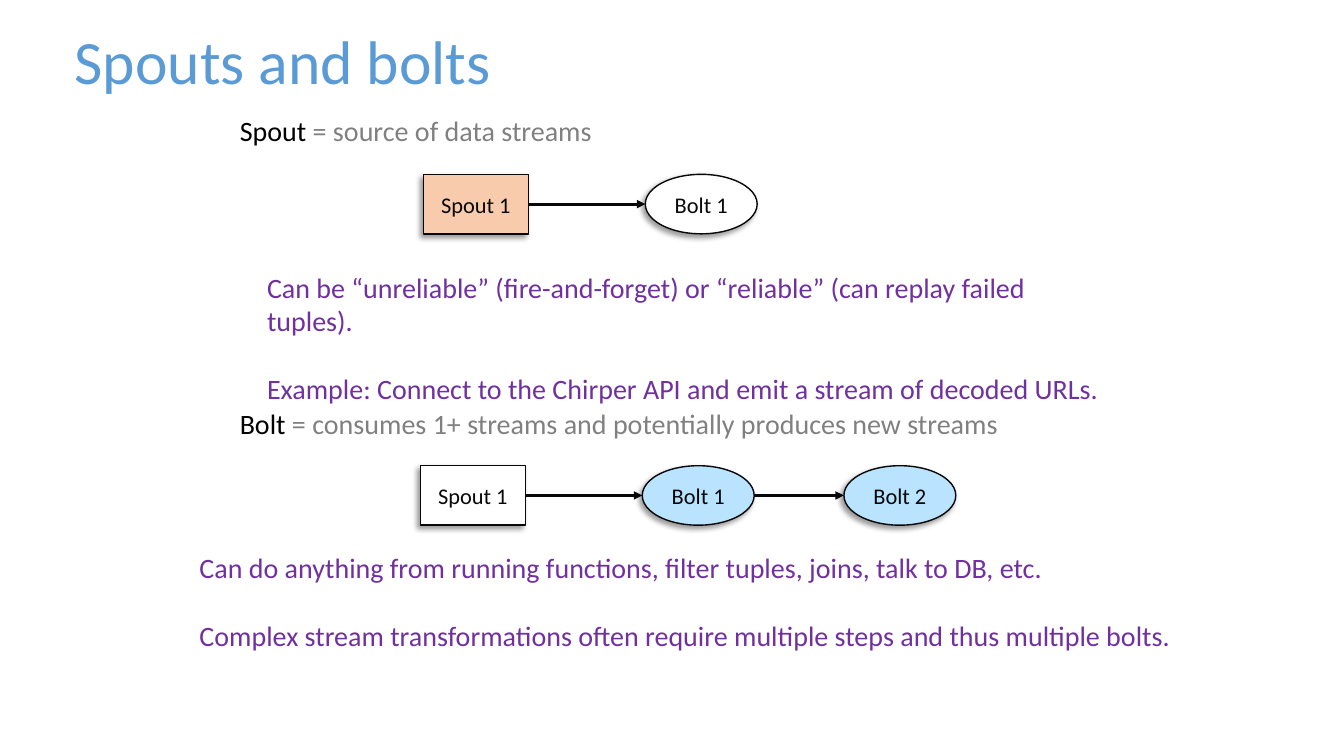
from lxml.etree import SubElement as Sub
from pptx import Presentation
from pptx.dml.color import RGBColor as RGB
from pptx.enum.shapes import MSO_CONNECTOR as Conn, MSO_SHAPE as Kind
from pptx.enum.text import MSO_ANCHOR as Anchor, MSO_AUTO_SIZE as Fit, PP_ALIGN as Align
from pptx.oxml.ns import qn
from pptx.util import Inches, Pt

BLACK = RGB(0x00, 0x00, 0x00)
INK = RGB(0x08, 0x08, 0x08)
GRAY = RGB(0x80, 0x80, 0x80)
WHITE = RGB(0xFF, 0xFF, 0xFF)
BLUE = RGB(0x5B, 0x9B, 0xD5)
PURPLE = RGB(0x70, 0x30, 0xA0)
PEACH = RGB(0xF8, 0xCB, 0xAD)
SKY = RGB(0xBA, 0xE3, 0xFF)
NODE_H = 0.59


def write(frame, paras, size=20, align=Align.LEFT, anchor=Anchor.TOP, gap=0):
    """Fill a frame; each paragraph is a list of (text, colour) runs."""
    frame.word_wrap = True
    frame.auto_size = Fit.NONE
    frame.vertical_anchor = anchor
    for i, runs in enumerate(paras):
        para = frame.add_paragraph() if i else frame.paragraphs[0]
        para.alignment = align
        para.space_before = Pt(gap if i else 0)
        for text, color in runs:
            run = para.add_run()
            run.text = text
            run.font.name = "Calibri"
            run.font.size = Pt(size)
            run.font.color.rgb = color


def label(slide, box, paras, **style):
    area = slide.shapes.add_textbox(*map(Inches, box))
    write(area.text_frame, paras, **style)


def node(slide, kind, box, text, fill):
    shape = slide.shapes.add_shape(kind, *map(Inches, box))
    shape.fill.solid()
    shape.fill.fore_color.rgb = fill
    shape.line.color.rgb = INK
    shape.line.width = Pt(1)
    # Soft shadow towards the lower left
    shape.shadow.inherit = False
    glow = Sub(shape._element.spPr.find(qn("a:effectLst")), qn("a:outerShdw"),
               blurRad=str(Pt(4)), dist=str(Pt(3)), dir=str(135 * 60000),
               algn="tr", rotWithShape="0")
    Sub(Sub(glow, qn("a:srgbClr"), val="000000"), qn("a:alpha"), val="40000")
    write(shape.text_frame, [[(text, INK)]], size=16,
          align=Align.CENTER, anchor=Anchor.MIDDLE)
    return shape


def arrow(slide, start, end):
    """Join the right side of one node to the left side of the next."""
    mid = start.top + start.height // 2
    line = slide.shapes.add_connector(
        Conn.STRAIGHT, start.left + start.width, mid, end.left, mid)
    if start.auto_shape_type == Kind.RECTANGLE:
        line.begin_connect(start, 3)
    line.line.color.rgb = INK
    line.line.width = Pt(2)
    Sub(line.line._get_or_add_ln(), qn("a:tailEnd"), type="triangle")
    Sub(line._element.spPr, qn("a:effectLst"))


def flow(slide, left, top, fill, bolts, tint):
    """A spout followed by a chain of bolts."""
    last = node(slide, Kind.RECTANGLE, (left, top, 1.04, NODE_H), "Spout 1", fill)
    for i in range(bolts):
        box = (left + 2.2 + 2 * i, top, 1.11, NODE_H)
        bolt = node(slide, Kind.OVAL, box, f"Bolt {i + 1}", tint)
        arrow(slide, last, bolt)
        last = bolt


def term(slide, left, top, width, name, text):
    label(slide, (left, top, width, 0.44), [[(name, BLACK), (text, GRAY)]])


def notes(slide, box, lines):
    label(slide, box, [[(text, PURPLE)] for text in lines], gap=24.4)


def head(slide, box, text):
    title = slide.shapes.title
    title.left, title.top, title.width, title.height = map(Inches, box)
    write(title.text_frame, [[(text, BLUE)]], size=44, anchor=Anchor.MIDDLE)


def main():
    deck = Presentation()
    deck.slide_width, deck.slide_height = Inches(13.33), Inches(7.5)
    slide = deck.slides.add_slide(deck.slide_layouts[5])
    head(slide, (0.64, 0.2, 9, 0.79), "Spouts and bolts")

    # Spout
    term(slide, 2.28, 1.08, 7.35, "Spout ", "= source of data streams")
    flow(slide, 4.2, 1.73, PEACH, 1, WHITE)
    notes(slide, (2.55, 2.63, 8.58, 1.44), [
        "Can be “unreliable” (fire-and-forget) or “reliable” (can replay failed tuples).",
        "Example: Connect to the Chirper API and emit a stream of decoded URLs."])

    # Bolt
    term(slide, 2.28, 3.98, 8.64, "Bolt ",
         "= consumes 1+ streams and potentially produces new streams")
    flow(slide, 4.17, 4.62, WHITE, 2, SKY)
    notes(slide, (1.88, 5.41, 10.14, 1.1), [
        "Can do anything from running functions, filter tuples, joins, talk to DB, etc.",
        "Complex stream transformations often require multiple steps and thus multiple bolts."])
    deck.save("out.pptx")


if __name__ == "__main__":
    main()
